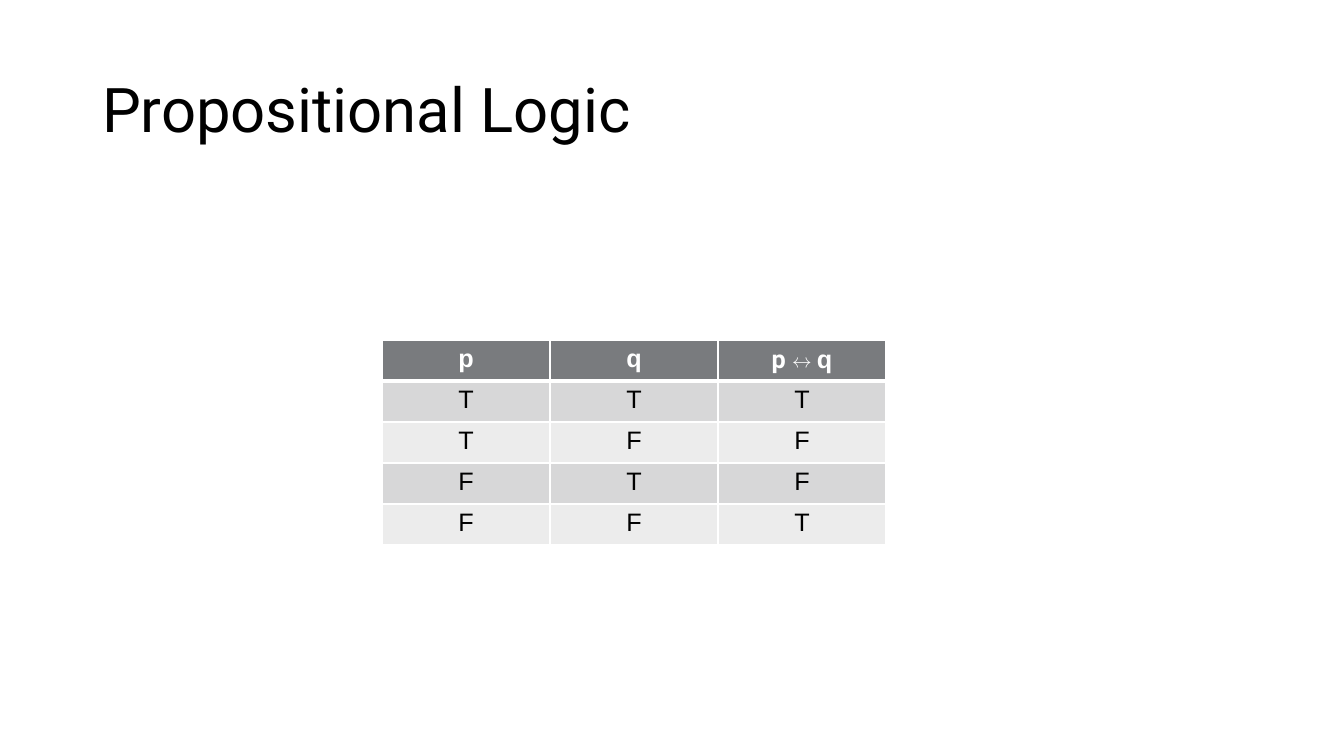
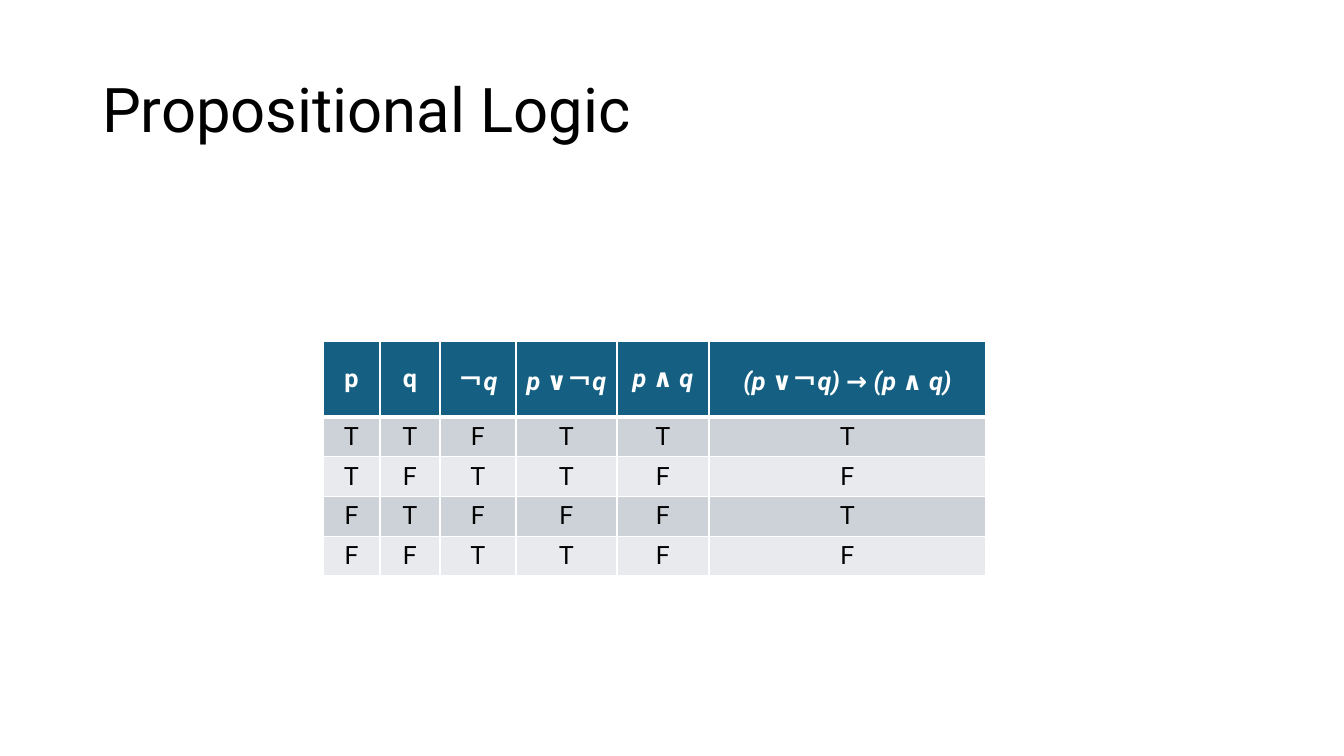
from lxml import etree
from pptx import Presentation
from pptx.dml.color import RGBColor
from pptx.enum.text import MSO_ANCHOR as ANCHOR, PP_ALIGN as ALIGN
from pptx.oxml.ns import qn
from pptx.util import Pt

SCALE = 914400 / 100.8
BLACK = RGBColor(0x00, 0x00, 0x00)
WHITE = RGBColor(0xFF, 0xFF, 0xFF)
GRAY = RGBColor(0x79, 0x7B, 0x7E)
GRAY_BAND = RGBColor(0xD7, 0xD7, 0xD8)
GRAY_LIGHT = RGBColor(0xEC, 0xEC, 0xEC)
TEAL = RGBColor(0x15, 0x60, 0x82)
TEAL_BAND = RGBColor(0xCC, 0xD2, 0xD8)
TEAL_LIGHT = RGBColor(0xE8, 0xEA, 0xED)

ITALIC, UPRIGHT = {"italic": True}, {"italic": False}
ROBOTO = {"name": "Roboto"}
SMALL = {"name": "Roboto", "size": Pt(14)}

TABLES = [
    {
        "at": (382, 340), "cols": [168] * 3, "rows": [41] * 5,
        "font": "Arial", "anchor": ANCHOR.TOP,
        "fills": (GRAY, GRAY_BAND, GRAY_LIGHT),
        "head": [
            [("p", {})],
            [("q", {})],
            [("p ", ROBOTO), ("↔ ", SMALL), ("q", {})],
        ],
        "body": ["TTT", "TFF", "FTF", "FFT"],
    },
    {
        "at": (323, 341), "cols": [57, 60, 76, 101, 92, 277],
        "rows": [68] + [39] * 4,
        "font": "Roboto", "anchor": ANCHOR.MIDDLE,
        "fills": (TEAL, TEAL_BAND, TEAL_LIGHT),
        "head": [
            [("p", UPRIGHT)],
            [("q", UPRIGHT)],
            [("￢", UPRIGHT), ("q", ITALIC)],
            [("p ", ITALIC), ("∨￢", UPRIGHT), ("q", ITALIC)],
            [("p ", ITALIC), ("∧ ", UPRIGHT), ("q", ITALIC)],
            [("(p ", ITALIC), ("∨￢", UPRIGHT), ("q) ", ITALIC), ("→ ", UPRIGHT),
             ("(p ", ITALIC), ("∧ ", UPRIGHT), ("q)", ITALIC)],
        ],
        "body": ["TTFTTT", "TFTTFF", "FTFFFT", "FFTTFF"],
    },
]


def px(n):
    return round(n * SCALE)


def set_borders(cell, widths):
    """Draw white left, right, top and bottom borders, widths in points."""
    tc_pr = cell._tc.get_or_add_tcPr()
    for i, (side, width) in enumerate(zip("LRTB", widths)):
        ln = etree.Element(qn(f"a:ln{side}"), w=str(Pt(width)))
        fill = etree.SubElement(ln, qn("a:solidFill"))
        etree.SubElement(fill, qn("a:srgbClr"), val=str(WHITE))
        tc_pr.insert(i, ln)


prs = Presentation()
prs.slide_width, prs.slide_height = px(1344), px(756)

for spec_table in TABLES:
    slide = prs.slides.add_slide(prs.slide_layouts[5])

    title = slide.shapes.title
    title.left, title.top, title.width, title.height = map(px, (92, 40, 1159, 146))
    tf = title.text_frame
    tf.text = "Propositional Logic"
    tf.vertical_anchor = ANCHOR.MIDDLE
    p = tf.paragraphs[0]
    p.alignment, p.line_spacing = ALIGN.LEFT, 0.9
    font = p.runs[0].font
    font.name, font.size, font.color.rgb = "Roboto", Pt(44), BLACK

    cols, rows = spec_table["cols"], spec_table["rows"]
    x, y = spec_table["at"]
    table = slide.shapes.add_table(
        len(rows), len(cols), px(x), px(y), px(sum(cols)), px(sum(rows))).table
    for column, width in zip(table.columns, cols):
        column.width = px(width)
    for row, height in zip(table.rows, rows):
        row.height = px(height)

    head_fill, *bands = spec_table["fills"]
    lines = [spec_table["head"]]
    lines += [[[(value, {})] for value in values] for values in spec_table["body"]]
    for i, line in enumerate(lines):
        is_head = i == 0
        for j, runs in enumerate(line):
            cell = table.cell(i, j)
            cell.vertical_anchor = spec_table["anchor"]
            cell.fill.solid()
            cell.fill.fore_color.rgb = head_fill if is_head else bands[(i - 1) % 2]
            set_borders(cell, (1, 1, 3 if i == 1 else 1, 3 if is_head else 1))
            p = cell.text_frame.paragraphs[0]
            p.alignment = ALIGN.CENTER
            for text, extra in runs:
                r = p.add_run()
                r.text = text
                r.font.color.rgb = WHITE if is_head else BLACK
                base = {"name": spec_table["font"], "size": Pt(18), "bold": is_head}
                for key, value in (base | extra).items():
                    setattr(r.font, key, value)

prs.save("out.pptx")
